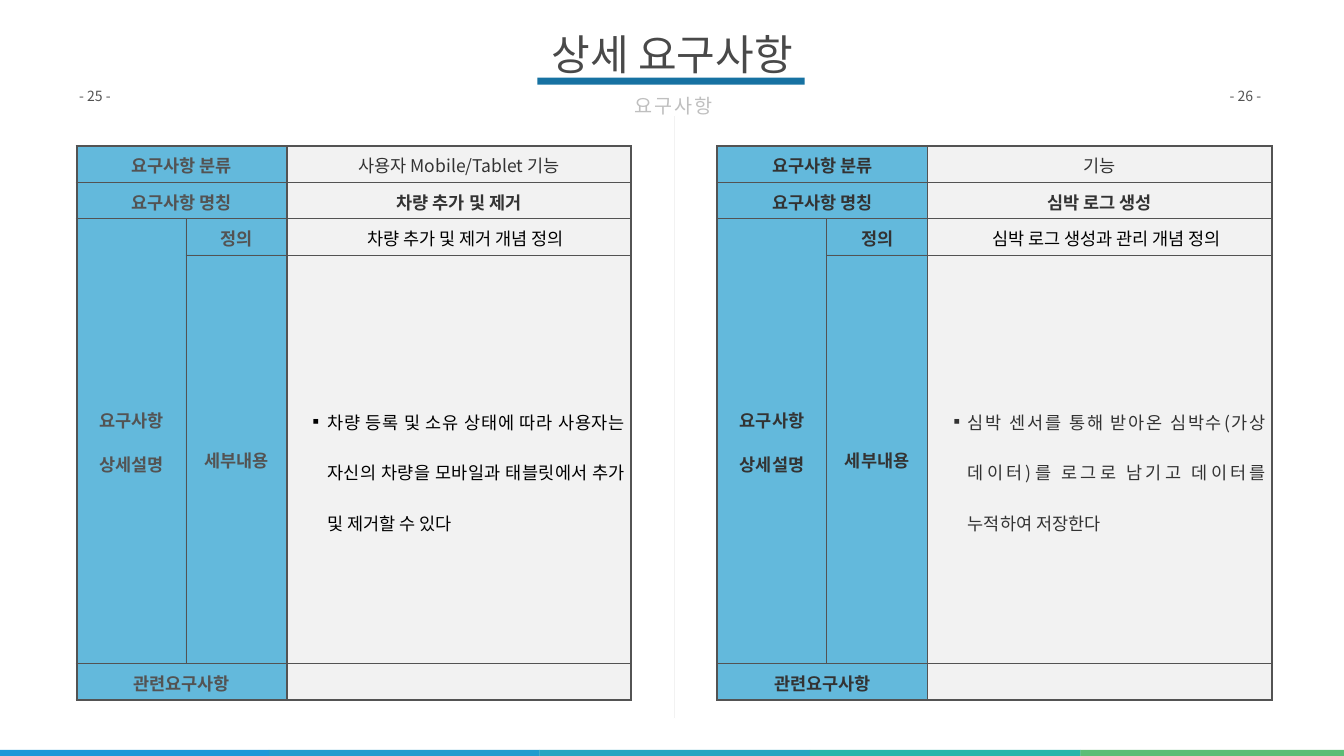
"""Builds the two-panel detailed requirements slide."""
from dataclasses import dataclass

from lxml.etree import SubElement
from pptx import Presentation
from pptx.dml.color import RGBColor
from pptx.enum.shapes import MSO_SHAPE
from pptx.enum.text import MSO_ANCHOR, PP_ALIGN
from pptx.oxml.ns import qn
from pptx.util import Pt


@dataclass(frozen=True)
class Theme:
    font: str = "Noto Sans CJK KR"
    title: str = "494949"
    underline: str = "1772A2"
    subtitle: str = "BFBFBF"
    grey: str = "535353"
    dark: str = "333333"
    black: str = "000000"
    white: str = "FFFFFF"
    panel: str = "F2F2F2"
    label: str = "229CCE"
    label_opacity: int = 70
    footer: tuple = ("1F98D8", "229CCE", "27A5C1", "24B6AB", "5BBD76")
    title_size: int = 60
    subtitle_size: int = 28
    table_size: int = 25
    page_size: int = 20
    outer_line: float = 3
    column_line: float = 2.25
    inner_line: float = 1


def write_text(frame, text, *, font, size, color, bold=False, align=PP_ALIGN.LEFT,
               line=None, gap=0, left=0, hanging=0, bullet=None, tracking=0):
    for index, content in enumerate(text.split("\n")):
        paragraph = frame.paragraphs[0] if index == 0 else frame.add_paragraph()
        properties = paragraph._p.get_or_add_pPr()
        if left:
            properties.set("marL", str(Pt(left)))
            properties.set("indent", str(Pt(-hanging)))
        if bullet:
            SubElement(properties, qn("a:buFont")).set("typeface", font)
            SubElement(properties, qn("a:buChar")).set("char", bullet)
        paragraph.alignment = align
        if line:
            paragraph.line_spacing = line
        if index and gap:
            paragraph.space_before = Pt(gap)
        run = paragraph.add_run()
        run.text = content
        run.font.size = Pt(size)
        run.font.bold = bold
        run.font.name = font
        run.font.color.rgb = RGBColor.from_string(color)
        run_properties = run._r.get_or_add_rPr()
        SubElement(run_properties, qn("a:ea")).set("typeface", font)
        if tracking:
            run_properties.set("spc", str(tracking * 100))


class SlideBuilder:
    COLUMNS = (156.2, 144, 491.8)
    ROWS = (51.84, 51.84, 51.84, 583.9, 51.84)

    def __init__(self, slide, theme):
        self.slide = slide
        self.theme = theme

    def bar(self, left, top, width, height, color, outline=None):
        bar = self.slide.shapes.add_shape(
            MSO_SHAPE.RECTANGLE, Pt(left), Pt(top), Pt(width), Pt(height))
        bar.shadow.inherit = False
        bar.fill.solid()
        bar.fill.fore_color.rgb = RGBColor.from_string(color)
        if outline:
            bar.line.color.rgb = RGBColor.from_string(outline)
            bar.line.width = Pt(1)
        else:
            bar.line.fill.background()

    def text(self, left, top, width, height, content, *, inset, side_inset=None,
             anchor=MSO_ANCHOR.TOP, wrap=True, **style):
        box = self.slide.shapes.add_textbox(Pt(left), Pt(top), Pt(width), Pt(height))
        frame = box.text_frame
        frame.word_wrap = wrap
        frame.vertical_anchor = anchor
        frame.margin_top = frame.margin_bottom = Pt(inset)
        frame.margin_left = frame.margin_right = Pt(side_inset or inset)
        write_text(frame, content, font=self.theme.font, **style)

    def borders(self, cell, row, column):
        theme = self.theme
        across = (theme.outer_line, theme.inner_line, theme.column_line, theme.outer_line)
        down = (theme.outer_line, *[theme.inner_line] * 4, theme.outer_line)
        widths = {
            "L": across[column], "R": across[column + cell.span_width],
            "T": down[row], "B": down[row + cell.span_height],
        }
        properties = cell._tc.get_or_add_tcPr()
        for side, width in widths.items():
            edge = SubElement(properties, qn(f"a:ln{side}"), w=str(Pt(width)))
            fill = SubElement(edge, qn("a:solidFill"))
            SubElement(fill, qn("a:srgbClr")).set("val", theme.grey)

    def cell(self, grid, row, column, content, **style):
        theme = self.theme
        cell = grid.cell(row, column)
        self.borders(cell, row, column)
        cell.fill.solid()
        is_label = column < 2
        cell.fill.fore_color.rgb = RGBColor.from_string(theme.label if is_label else theme.panel)
        if is_label:
            color = cell._tc.tcPr.find(qn("a:solidFill")).find(qn("a:srgbClr"))
            SubElement(color, qn("a:alpha")).set("val", str(theme.label_opacity * 1000))
        cell.vertical_anchor = MSO_ANCHOR.MIDDLE
        cell.margin_left = cell.margin_top = cell.margin_bottom = Pt(0.72)
        cell.margin_right = Pt(8.64 if style.get("bullet") else 0.72)
        if content:
            layout = {"align": PP_ALIGN.CENTER, "line": 1.07, "gap": 24, **style}
            write_text(cell.text_frame, content, font=theme.font, size=theme.table_size, **layout)

    def requirement(self, left, *, label_color, category, name, definition, detail, detail_color):
        theme = self.theme
        grid = self.slide.shapes.add_table(
            len(self.ROWS), len(self.COLUMNS), Pt(left), Pt(208.8),
            Pt(sum(self.COLUMNS)), Pt(sum(self.ROWS))).table
        grid.first_row = grid.horz_banding = False
        for column, width in zip(grid.columns, self.COLUMNS):
            column.width = Pt(width)
        for row, height in zip(grid.rows, self.ROWS):
            row.height = Pt(height)
        for row in (0, 1, 4):
            grid.cell(row, 0).merge(grid.cell(row, 1))
        grid.cell(2, 0).merge(grid.cell(3, 0))

        labels = {
            (0, 0): "요구사항 분류", (1, 0): "요구사항 명칭", (2, 0): "요구사항\n상세설명",
            (2, 1): "정의", (3, 1): "세부내용", (4, 0): "관련요구사항",
        }
        for (row, column), label in labels.items():
            self.cell(grid, row, column, label, color=label_color, bold=True)
        self.cell(grid, 0, 2, category, color=theme.dark)
        self.cell(grid, 1, 2, name, color=theme.dark, bold=True)
        self.cell(grid, 2, 2, definition, color=theme.black, left=33.84, hanging=15.12)
        self.cell(grid, 3, 2, detail, color=detail_color, align=PP_ALIGN.JUSTIFY,
                  line=2.0, left=56.88, hanging=27.36, bullet="▪")
        self.cell(grid, 4, 2, "")


def main():
    theme = Theme()
    deck = Presentation()
    deck.slide_width, deck.slide_height = Pt(1919.52), Pt(1080)
    builder = SlideBuilder(deck.slides.add_slide(deck.slide_layouts[6]), theme)

    for index, color in enumerate(theme.footer):
        builder.bar(-2.16 + 386.3 * index, 1071.4, 386.6, 14.4, color)

    builder.requirement(
        109.44, label_color=theme.grey, category="사용자 Mobile/Tablet 기능",
        name="차량 추가 및 제거", definition="차량 추가 및 제거 개념 정의",
        detail="차량 등록 및 소유 상태에 따라 사용자는 자신의 차량을 모바일과 태블릿에서 추가 및 제거할 수 있다",
        detail_color=theme.black)
    builder.bar(961.6, 165.2, 3.6, 861.1, theme.panel, outline=theme.white)
    builder.requirement(
        1024.56, label_color=theme.dark, category="기능",
        name="심박 로그 생성", definition="심박 로그 생성과 관리 개념 정의",
        detail="심박 센서를 통해 받아온 심박수(가상 데이터)를 로그로 남기고 데이터를 누적하여 저장한다",
        detail_color=theme.dark)

    for left, page in ((109.44, "- 25 -"), (1752.48, "- 26 -")):
        builder.text(left, 121, 67.7, 31.7, page, inset=3.6,
                     size=theme.page_size, color=theme.grey)
    builder.text(758.2, 31.7, 403.2, 89.3, "상세 요구사항", inset=8.64,
                 anchor=MSO_ANCHOR.MIDDLE, align=PP_ALIGN.CENTER,
                 size=theme.title_size, color=theme.title)
    builder.bar(767.5, 110.9, 381.6, 10, theme.underline)
    builder.text(887.8, 118.8, 147.6, 56.2, "요구사항", inset=8.64, side_inset=17.28,
                 wrap=False, align=PP_ALIGN.CENTER, line=1.2, tracking=3,
                 size=theme.subtitle_size, color=theme.subtitle)
    deck.save("out.pptx")


if __name__ == "__main__":
    main()
